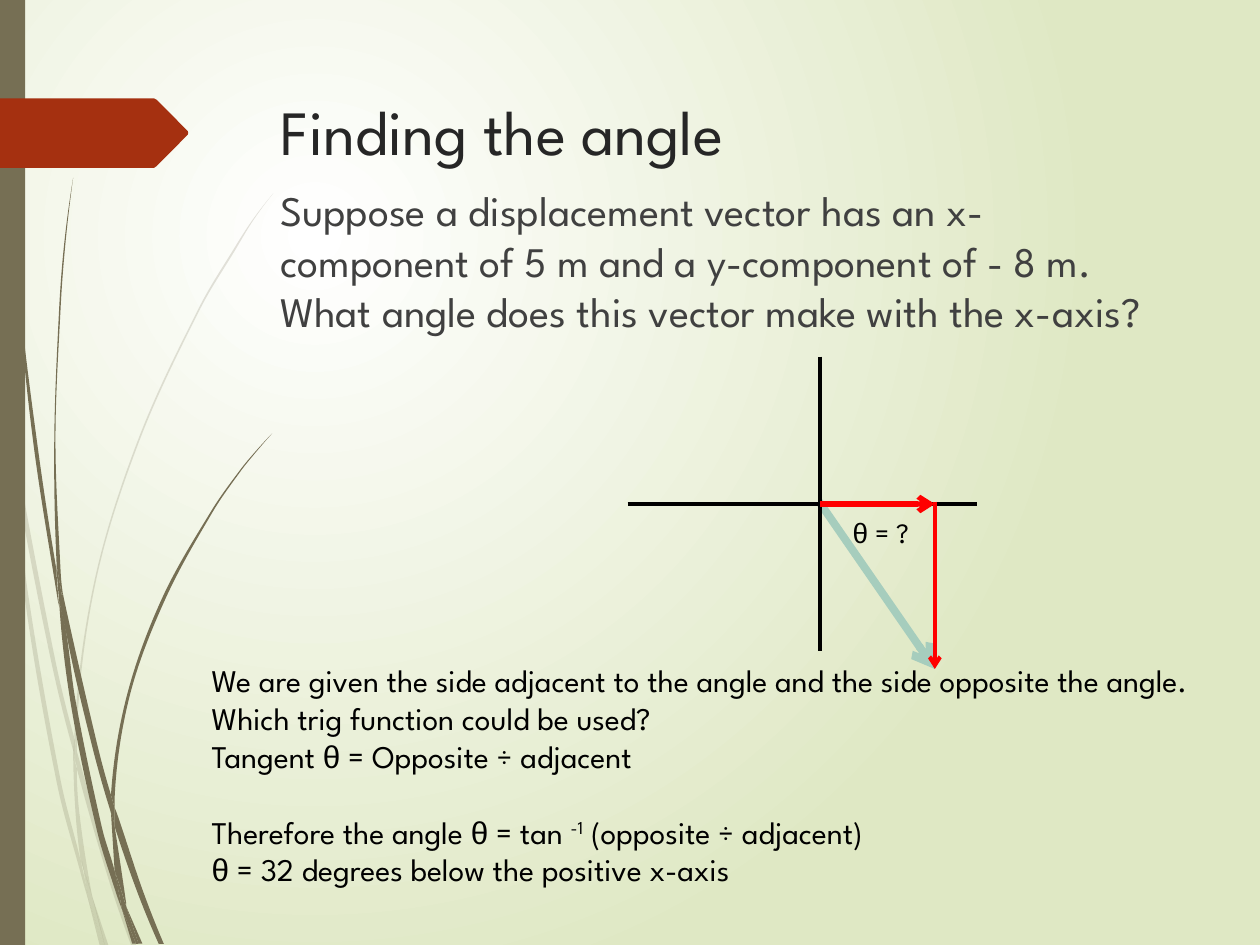
from dataclasses import dataclass
from math import hypot

from lxml import etree
from pptx import Presentation
from pptx.dml.color import RGBColor
from pptx.enum.shapes import MSO_CONNECTOR, MSO_SHAPE
from pptx.enum.text import MSO_ANCHOR
from pptx.oxml.ns import qn
from pptx.util import Pt

STRAIGHT = MSO_CONNECTOR.STRAIGHT
RECTANGLE = MSO_SHAPE.RECTANGLE
TOP = MSO_ANCHOR.TOP
THETA = "θ"
SUPERSCRIPT = "-1"


@dataclass(frozen=True)
class Theme:
    white: str = "FFFFFF"
    meadow: str = "DFE8C4"
    grass: str = "766F54"
    tag: str = "A53010"
    title: str = "262626"
    body: str = "404040"
    black: str = "000000"
    component: str = "FF0000"
    vector: str = "A6CDBD"
    font: str = "League Spartan"
    greek_font: str = "Arial"
    title_size: float = 36
    body_size: float = 24
    work_size: float = 18
    label_size: float = 16
    faint: int = 20


@dataclass(frozen=True)
class Line:
    start: tuple[float, float]
    end: tuple[float, float]
    color: str
    width: float
    arrow: bool = False


@dataclass(frozen=True)
class Text:
    box: tuple[float, float, float, float]
    size: float
    color: str
    paragraphs: list[list[str]]
    gaps: dict[int, float]


THEME = Theme()

# Outlines: each edge is a smooth run of points that starts where the previous edge ends
FAINT_BLADES = [
    [[(4.3, 231.8), (5.8, 252)], [(5, 247.7), (0, 215.3)], [(0, 203)]],
    [[(8.6, 270.7), (28.8, 375.8), (42.5, 431.3)], [(42.5, 421.9)],
     [(31, 374.4), (7.2, 248.4)]],
    [[(43.9, 439.2)], [(61.2, 499.7), (74.9, 540)], [(77.8, 540)],
     [(63.4, 498.2), (46.1, 437), (43.9, 429.1)]],
    [[(59.8, 540)], [(61.9, 540)], [(52.6, 511.9)]],
    [[(13.7, 338.4), (32.4, 447.1), (46.1, 499), (50.4, 514.1)],
     [(49.7, 509), (46.1, 491.8), (34.6, 445.7), (15.8, 337.7), (8.6, 270.7), (5.8, 252)]],
    [[(43.2, 465.1), (46.1, 491.8)], [(48.2, 498.2), (52.6, 511.9)],
     [(45.4, 465.1), (43.9, 439.2)], [(41.8, 431.3)]],
    [[(43.9, 420.5)], [(54.7, 332.6), (79.9, 251.3), (114.5, 176.4), (134.6, 142.6),
      (144.7, 126), (156.2, 110.5)],
     [(144.4, 125.6), (133.9, 141.8), (113.8, 175.7), (79.2, 250.6), (54, 331.9),
      (42.5, 420.5)], [(43.9, 429.1)]],
    [[(56.9, 540)], [(59, 540)], [(50.4, 514.1)]],
    [[(43.9, 439.2)], [(43.9, 429.1)], [(42.5, 421.9)], [(41.8, 431.3)], [(43.9, 437.8)]],
    [[(46.8, 491.8)], [(49.7, 509), (50.4, 514.1)], [(59, 540)], [(59.8, 540)],
     [(52.6, 511.9), (48.2, 498.2)]],
]
DARK_BLADES = [
    [[(2.2, 34.6), (3.6, 79.2), (10.1, 167.8), (19.4, 255.6), (33.1, 343.4), (33.8, 346.3)],
     [(32.4, 329), (32.4, 326.2)],
     [(21.6, 255.6), (10.8, 167), (4.3, 78.5), (2.9, 34.6), (2.2, 0)], [(1.4, 0)]],
    [[(38.2, 363.6), (52.6, 426.2), (63.4, 464.4)], [(63.4, 455.8)], [(63.4, 454.3)],
     [(55.4, 424.8), (36, 339.8)]],
    [[(65.5, 472.3)], [(78.5, 509.8), (90.7, 539.3)], [(93.6, 539.3)],
     [(81.4, 508.3), (67.7, 467.3), (65.5, 461.5)]],
    [[(40.3, 401), (55.4, 474.5), (66.2, 509.8), (69.8, 519.8)],
     [(69.1, 516.2), (65.5, 497.5), (58.3, 473), (43.2, 400.3), (38.2, 363.6), (33.8, 343.4)]],
    [[(34.6, 326.2), (31.7, 251.3), (34.6, 176.4), (37.4, 139), (41.8, 101.5)],
     [(36.7, 139), (33.8, 176.4), (31, 251.3), (32.4, 323.3)], [(35.3, 339.8)], [(36, 339.8)]],
    [[(79.2, 539.3)], [(81.4, 539.3)], [(72, 517.7)]],
    [[(38.2, 363.6)], [(36, 339.8)], [(35.3, 339.8)], [(32.4, 323.3)],
     [(32.4, 326.2), (33.8, 343.4)]],
    [[(65.5, 455.8)], [(74.2, 397.4), (94.3, 342.7), (121.7, 292.3), (137.5, 269.3),
      (146.2, 258.5), (155.5, 247.7)],
     [(146.2, 257.8), (137.2, 268.6), (121, 291.6), (92.9, 341.3), (72.7, 396.7),
      (63.4, 454.3)], [(65.5, 461.5)]],
    [[(75.6, 539.3)], [(77.8, 539.3)], [(69.8, 519.8)]],
    [[(65.5, 497.5)], [(69.1, 508.3), (72, 517.7)], [(72, 515.5), (65.5, 472.3)],
     [(64.8, 468.7), (63.4, 464.4)]],
    [[(64.8, 468.7), (65.5, 472.3)], [(65.5, 461.5)], [(63.4, 454.3)], [(63.4, 464.4)]],
    [[(65.5, 497.5)], [(69.1, 516.2), (69.8, 519.8)], [(77.8, 539.3)], [(79.2, 539.3)],
     [(72, 517.7), (69.1, 508.3)]],
]
TAG = [[(0, 96)], [(0, 56.2)], [(88, 56.2)], [(89.5, 57)], [(107.3, 74.9)], [(107.6, 76)],
       [(107.3, 77)], [(89.5, 95)], [(88, 96)]]

# Axes and vectors
ORIGIN_X, AXIS_Y, TIP_X, TIP_Y = 468.7, 288, 534.2, 382.3
LINES = [
    Line((468, 286.6), (TIP_X, TIP_Y), THEME.vector, 4.5, True),
    Line((ORIGIN_X, 203.8), (ORIGIN_X, 372.2), THEME.black, 2.25),
    Line((358.6, AXIS_Y), (558, AXIS_Y), THEME.black, 2.25),
    Line((ORIGIN_X, AXIS_Y), (TIP_X, AXIS_Y), THEME.component, 3, True),
    Line((TIP_X, 286.6), (TIP_X, TIP_Y), THEME.component, 2.25, True),
]

# Wording, with the space before chosen paragraphs
TEXTS = [
    Text((153.4, 49.3, 519, 100.8), THEME.title_size, THEME.title, [["Finding the angle"]], {}),
    Text((153, 102, 519, 363.6), THEME.body_size, THEME.body,
         [["Suppose a displacement vector has an x-component of 5 m and a y-component "
           "of - 8 m. What angle does this vector make with the x-axis?"]], {0: 10}),
    Text((480.2, 291.3, 66.2, 26.6), THEME.label_size, THEME.black, [[THETA, " = ?"]], {}),
    Text((113.9, 374.4, 606.1, 159.8), THEME.work_size, THEME.black, [
        ["We are given the side adjacent to the angle and the side opposite the angle."],
        ["Which trig function could be used?"],
        ["Tangent ", THETA, " = Opposite ÷ adjacent"],
        ["Therefore the angle ", THETA, " = tan ", SUPERSCRIPT, " (opposite ÷ adjacent)"],
        [THETA, " = 32 degrees below the positive x-axis"],
    ], {3: 21.6}),
]


def rgb(color: str) -> RGBColor:
    return RGBColor.from_string(color)


def bezier_segments(points: list) -> list:
    """One (control, control, end) triple for each step along a smooth edge."""
    def unit(p: tuple, q: tuple) -> tuple[float, float]:
        length = hypot(q[0] - p[0], q[1] - p[1]) or 1
        return (q[0] - p[0]) / length, (q[1] - p[1]) / length

    chords = [unit(p, q) for p, q in zip(points, points[1:])]
    inner = [unit(p, q) for p, q in zip(points, points[2:])]
    if inner:  # the ends bend on as their neighbours do
        first = tuple(2 * c - d for c, d in zip(chords[0], inner[0]))
        last = tuple(2 * c - d for c, d in zip(chords[-1], inner[-1]))
        tangents = [first, *inner, last]
    else:
        tangents = chords * 2
    segments = []
    for p, q, u, v in zip(points, points[1:], tangents, tangents[1:]):
        third = hypot(q[0] - p[0], q[1] - p[1]) / 3
        segments.append(((p[0] + third * u[0], p[1] + third * u[1]),
                         (q[0] - third * v[0], q[1] - third * v[1]), q))
    return segments


def paint(shape, color: str, opacity: int = 100) -> None:
    shape.shadow.inherit = False
    shape.line.fill.background()
    shape.fill.solid()
    shape.fill.fore_color.rgb = rgb(color)
    if opacity < 100:
        for value in shape.element.spPr.iter(qn("a:srgbClr")):
            etree.SubElement(value, qn("a:alpha"), val=str(opacity * 1000))


def draw_outline(slide, edges: list, color: str, opacity: int = 100) -> None:
    start = corner = edges[-1][-1]
    segments = []
    for edge in edges:
        segments += bezier_segments([corner, *edge])
        corner = edge[-1]
    builder = slide.shapes.build_freeform(Pt(start[0]), Pt(start[1]))
    builder.add_line_segments([(Pt(x), Pt(y)) for _, _, (x, y) in segments], close=True)
    shape = builder.convert_to_shape()
    # Bend the straight steps into curves
    for step, curve in zip(list(shape.element.iter(qn("a:lnTo"))), segments):
        step.tag = qn("a:cubicBezTo")
        step.remove(step[0])
        for x, y in curve:
            etree.SubElement(step, qn("a:pt"), x=str(Pt(x) - shape.left), y=str(Pt(y) - shape.top))
    paint(shape, color, opacity)


def draw_line(slide, line: Line) -> None:
    connector = slide.shapes.add_connector(STRAIGHT, *map(Pt, line.start + line.end))
    connector.line.color.rgb = rgb(line.color)
    connector.line.width = Pt(line.width)
    if line.arrow:
        etree.SubElement(connector.line._get_or_add_ln(), qn("a:tailEnd"), type="arrow")
    etree.SubElement(connector.element.spPr, qn("a:effectLst"))


def draw_text(slide, text: Text) -> None:
    frame = slide.shapes.add_textbox(*map(Pt, text.box)).text_frame
    frame.word_wrap = True
    frame.vertical_anchor = TOP
    frame.text = "\n".join("" for _ in text.paragraphs)
    for i, (paragraph, pieces) in enumerate(zip(frame.paragraphs, text.paragraphs)):
        if i in text.gaps:
            paragraph.space_before = Pt(text.gaps[i])
        for piece in pieces:
            run = paragraph.add_run()
            run.text = piece
            run.font.name = THEME.greek_font if piece == THETA else THEME.font
            run.font.size = Pt(text.size)
            run.font.color.rgb = rgb(text.color)
            if piece == SUPERSCRIPT:
                run._r.get_or_add_rPr().set("baseline", "30000")


def draw_background(slide) -> None:
    fill = slide.background.fill
    fill.gradient()
    for stop, color in zip(fill.gradient_stops, (THEME.white, THEME.meadow)):
        stop.color.rgb = rgb(color)
    gradient = next(slide.element.iter(qn("a:gradFill")))
    gradient.remove(gradient.find(qn("a:lin")))
    glow = etree.SubElement(gradient, qn("a:path"), path="circle")
    etree.SubElement(glow, qn("a:fillToRect"), l="50000", t="50000", r="100000", b="100000")


def main() -> None:
    deck = Presentation()
    deck.slide_width, deck.slide_height = Pt(720), Pt(540)
    slide = deck.slides.add_slide(deck.slide_layouts[6])
    draw_background(slide)
    # Grass, side bar and tag
    for blades, opacity in ((FAINT_BLADES, THEME.faint), (DARK_BLADES, 100)):
        for blade in blades:
            draw_outline(slide, blade, THEME.grass, opacity)
    paint(slide.shapes.add_shape(RECTANGLE, 0, 0, Pt(14.4), Pt(540)), THEME.grass)
    draw_outline(slide, TAG, THEME.tag)
    # Problem, diagram and working
    for text in TEXTS[:2]:
        draw_text(slide, text)
    for line in LINES:
        draw_line(slide, line)
    for text in TEXTS[2:]:
        draw_text(slide, text)
    deck.save("out.pptx")


if __name__ == "__main__":
    main()
